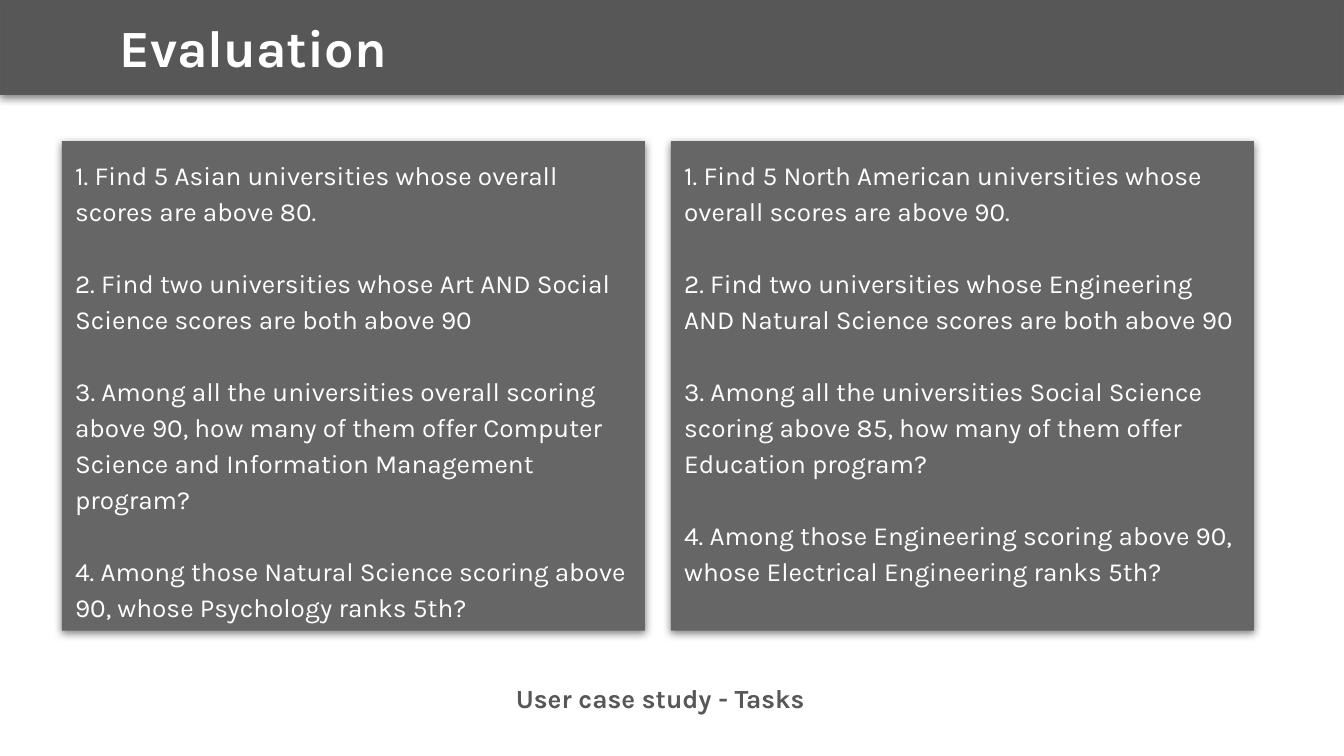
from lxml import etree
from pptx import Presentation
from pptx.dml.color import RGBColor
from pptx.enum.shapes import MSO_SHAPE
from pptx.enum.text import MSO_ANCHOR, PP_ALIGN
from pptx.oxml.ns import qn
from pptx.util import Cm, Pt

RECT = MSO_SHAPE.RECTANGLE
TOP, MIDDLE = MSO_ANCHOR.TOP, MSO_ANCHOR.MIDDLE
LEFT = PP_ALIGN.LEFT

FONT = "Karla"
COLORS = {
    "band": "575757",
    "band_line": "595959",
    "panel": "666666",
    "light": "FFFFFF",
    "shadow": "000000",
}

PANEL_LEFT, PANEL_TOP = 1.17, 2.67
PANEL_WIDTH, PANEL_HEIGHT = 11.02, 9.25
PANEL_STEP = 11.51

TASK_SETS = [
    [
        "1. Find 5 Asian universities whose overall scores are above 80.",
        "2. Find two universities whose Art AND Social Science scores are both above 90",
        "3. Among all the universities overall scoring above 90, how many of them "
        "offer Computer Science and Information Management program?",
        "4. Among those Natural Science scoring above 90, whose Psychology ranks 5th?",
    ],
    [
        "1. Find 5 North American universities whose overall scores are above 90.",
        "2. Find two universities whose Engineering AND Natural Science scores are both above 90",
        "3. Among all the universities Social Science scoring above 85, how many of them "
        "offer Education program?",
        "4. Among those Engineering scoring above 90, whose Electrical Engineering ranks 5th?",
    ],
]


def rgb(name):
    return RGBColor.from_string(COLORS[name])


def add_shadow(sp):
    """Soft shadow straight below the shape."""
    sp.shadow.inherit = False
    effects = sp._element.spPr.find(qn("a:effectLst"))
    outer = etree.SubElement(
        effects, qn("a:outerShdw"), blurRad=str(Pt(4.5)), dist=str(Pt(1.5)),
        dir="5400000", algn="bl", rotWithShape="0")
    color = etree.SubElement(outer, qn("a:srgbClr"), val=COLORS["shadow"])
    etree.SubElement(color, qn("a:alpha"), val="50000")


def add_box(s, x, y, w, h, fill, line=None):
    sp = s.shapes.add_shape(RECT, Cm(x), Cm(y), Cm(w), Cm(h))
    sp.fill.solid()
    sp.fill.fore_color.rgb = rgb(fill)
    if line:
        sp.line.color.rgb = rgb(line)
        sp.line.width = Pt(0.75)
    else:
        sp.line.fill.background()
    add_shadow(sp)
    return sp


def write(tf, texts, size, color, bold=False, anchor=TOP, spacing=None, gap=0):
    """Fill a text frame with one run per paragraph."""
    tf.word_wrap = True
    tf.vertical_anchor = anchor
    tf.margin_left = tf.margin_right = tf.margin_top = tf.margin_bottom = Cm(0.25)
    for i, text in enumerate(texts):
        p = tf.paragraphs[0] if i == 0 else tf.add_paragraph()
        p.alignment = LEFT
        p.line_spacing = spacing
        p.space_before = Pt(gap if i else 0)
        r = p.add_run()
        r.text = text
        r.font.name = FONT
        r.font.size = Pt(size)
        r.font.bold = bold
        r.font.color.rgb = rgb(color)


def add_label(s, x, y, w, h, text, size, color, anchor=TOP):
    sp = s.shapes.add_textbox(Cm(x), Cm(y), Cm(w), Cm(h))
    write(sp.text_frame, [text], size, color, bold=True, anchor=anchor)


def add_task_panel(s, x, tasks):
    sp = add_box(s, x, PANEL_TOP, PANEL_WIDTH, PANEL_HEIGHT, "panel")
    write(sp.text_frame, tasks, 14, "light", spacing=1.15, gap=19.3)


def main():
    prs = Presentation()
    prs.slide_width, prs.slide_height = Cm(25.4), Cm(14.29)
    s = prs.slides.add_slide(prs.slide_layouts[6])

    # Title band
    add_box(s, 0, 0, 25.4, 1.78, "band", line="band_line")
    add_label(s, 2.01, 0, 11.02, 1.78, "Evaluation", 28, "light", MIDDLE)

    # Task panels, side by side
    for i, tasks in enumerate(TASK_SETS):
        add_task_panel(s, PANEL_LEFT + i * PANEL_STEP, tasks)

    # Caption
    add_label(s, 9.5, 12.65, 5.97, 1.37, "User case study - Tasks", 14, "band")

    prs.save("out.pptx")


if __name__ == "__main__":
    main()
